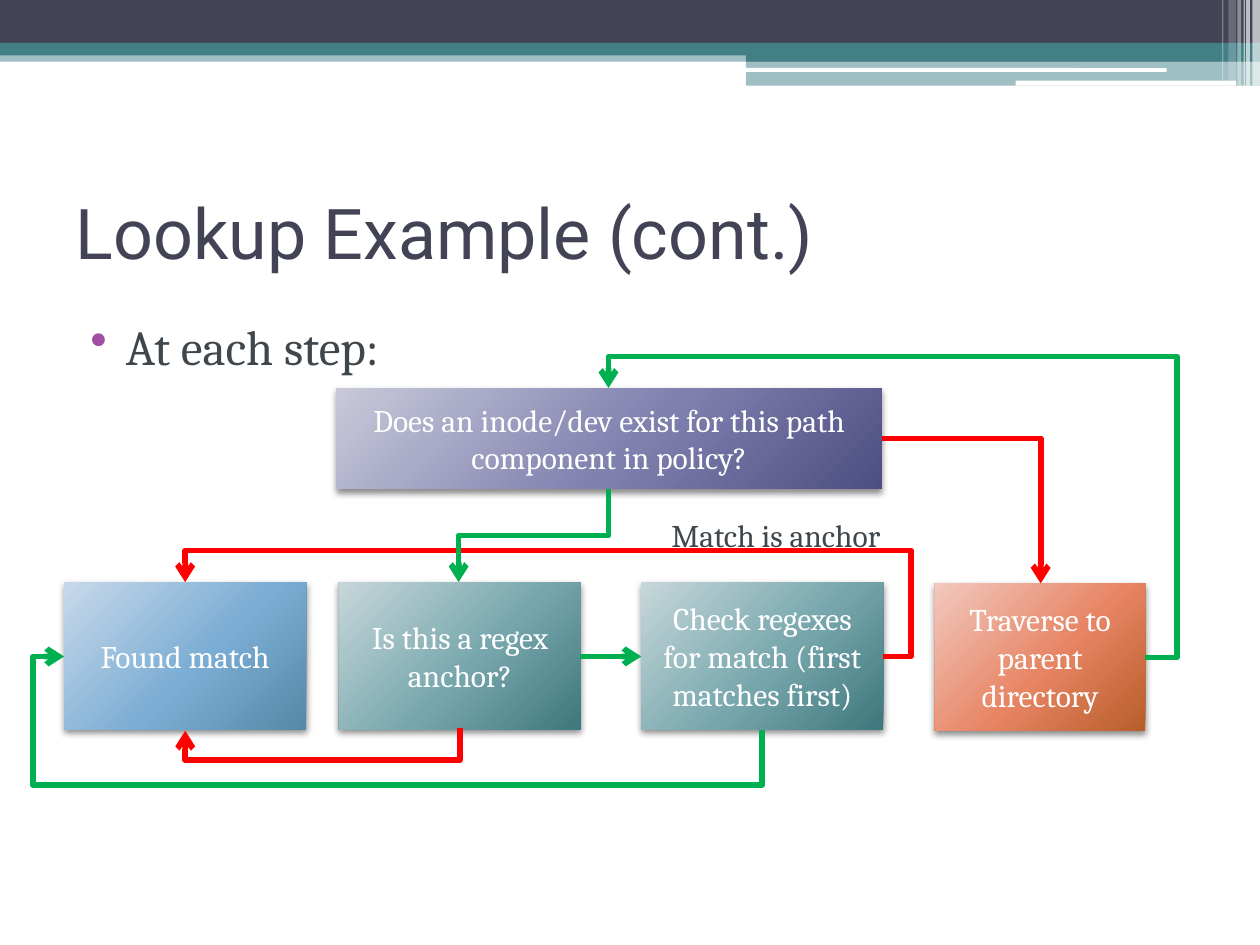
"""Build the slide that charts each step of a policy lookup."""
from dataclasses import dataclass

from lxml import etree
from pptx import Presentation
from pptx import util as u
from pptx.dml.color import RGBColor
from pptx.enum import shapes, text
from pptx.oxml import parse_xml
from pptx.oxml.ns import nsdecls, qn

PX = 9144
SHAPE = shapes.MSO_SHAPE
ALIGN = text.PP_ALIGN
ANCHOR = text.MSO_ANCHOR


@dataclass(frozen=True)
class Theme:
    """Colours, fonts and sizes."""
    dark: str = "424456"
    teal: str = "438086"
    white: str = "FFFFFF"
    ink: str = "3F474C"
    dot: str = "A04DA3"
    yes: str = "00B050"
    no: str = "FF0000"
    blue: tuple = ("C7D9EA", "7CADD4", "5688A9")
    sea: tuple = ("C7D7DA", "77A7AD", "3E777D")
    plum: tuple = ("C9C9DA", "7F80AE", "4D4E81")
    rust: tuple = ("F2C9BF", "E78463", "B75E2A")
    head: str = "Roboto"
    body: str = "Cambria"
    big: int = 40
    mid: int = 28
    base: int = 18
    pen: float = 3.25


T = Theme()


@dataclass(frozen=True)
class Band:
    """A plain bar of the page header."""
    box: tuple
    hue: str = T.white
    alpha: int = 100
    kind: int = SHAPE.RECTANGLE


@dataclass(frozen=True)
class Step:
    """A box of the flow."""
    box: tuple
    words: str
    stops: tuple


@dataclass(frozen=True)
class Route:
    """An arrow through right-angled points."""
    hue: str
    points: tuple


BANDS = (
    Band((0, 40, 1000, 9), T.teal, 50),
    Band((0, 0, 1000, 34), T.dark),
    Band((0, 34, 1000, 10), T.teal),
    Band((592, 39, 408, 10), T.teal),
    Band((592, 48, 408, 20), T.teal, 50),
    Band((591, 54, 335, 3), kind=SHAPE.ROUNDED_RECTANGLE),
    Band((806, 64, 175, 4), kind=SHAPE.ROUNDED_RECTANGLE),
    Band((994, 0, 6, 68), alpha=65),
    Band((989, 0, 3, 68), alpha=65),
    Band((987, 0, 1, 68), alpha=60),
    Band((982, 0, 3, 68), alpha=40),
    Band((975, 0, 6, 64), alpha=20),
    Band((970, 0, 1, 64), alpha=30),
)
STEPS = (
    Step((267, 308, 433, 80), "Does an inode/dev exist for this path component in policy?", T.plum),
    Step((742, 463, 167, 117), "Traverse to parent directory", T.rust),
    Step((269, 462, 192, 117), "Is this a regex anchor?", T.sea),
    Step((509, 462, 192, 117), "Check regexes for match (first matches first)", T.sea),
    Step((51, 462, 192, 117), "Found match", T.blue),
)
ROUTES = (
    Route(T.no, ((700, 348), (826, 348), (826, 463))),
    Route(T.no, ((365, 578), (365, 603), (147, 603), (147, 580))),
    Route(T.yes, ((460, 521), (509, 521))),
    Route(T.yes, ((605, 579), (605, 623), (26, 623), (26, 521), (51, 521))),
    Route(T.yes, ((909, 522), (934, 522), (934, 283), (483, 283), (483, 308))),
    Route(T.no, ((701, 521), (723, 521), (723, 437), (147, 437), (147, 462))),
    Route(T.yes, ((483, 388), (483, 425), (364, 425), (364, 462))),
)


def emu(box: tuple) -> list:
    """Turn px into EMU."""
    return [round(n * PX) for n in box]


def write(frame, words: str, *, size: int = T.base, font: str = T.body, hue: str = T.ink,
          align=ALIGN.LEFT, anchor=ANCHOR.TOP, wrap: bool = True):
    """Fill a text frame and return its paragraph."""
    frame.word_wrap, frame.vertical_anchor = wrap, anchor
    para = frame.paragraphs[0]
    para.alignment = align
    run = para.add_run()
    run.text = words
    run.font.size, run.font.name = u.Pt(size), font
    run.font.color.rgb = RGBColor.from_string(hue)
    return para


def draw_band(slide, band: Band) -> None:
    """Draw a header bar."""
    bar = slide.shapes.add_shape(band.kind, *emu(band.box))
    bar.shadow.inherit = False
    bar.line.fill.background()
    bar.fill.solid()
    bar.fill.fore_color.rgb = RGBColor.from_string(band.hue)
    if band.alpha < 100:
        tint = bar.element.spPr.find(".//" + qn("a:srgbClr"))
        etree.SubElement(tint, qn("a:alpha"), val=str(band.alpha * 1000))


def draw_step(slide, step: Step) -> None:
    """Draw a shaded flow box with its words."""
    node = slide.shapes.add_shape(SHAPE.FLOWCHART_PROCESS, *emu(step.box))
    stops = "".join(f'<a:gs pos="{at}000"><a:srgbClr val="{hue}"/></a:gs>'
                    for at, hue in zip((0, 55, 100), step.stops))
    node.element.spPr.append(parse_xml(
        f'<a:gradFill {nsdecls("a")} rotWithShape="1"><a:gsLst>{stops}</a:gsLst><a:path path="circle">'
        '<a:fillToRect l="-40000" t="-90000" r="140000" b="190000"/></a:path></a:gradFill>'))
    node.line.fill.background()
    node.shadow.inherit = False
    node.element.spPr.find(qn("a:effectLst")).append(parse_xml(
        f'<a:outerShdw {nsdecls("a")} blurRad="{u.Pt(4)}" dist="{u.Pt(2)}" dir="5400000" '
        'rotWithShape="0"><a:srgbClr val="000000"><a:alpha val="45000"/></a:srgbClr></a:outerShdw>'))
    write(node.text_frame, step.words, hue=T.white, align=ALIGN.CENTER, anchor=ANCHOR.MIDDLE)


def draw_route(slide, route: Route) -> None:
    """Draw an arrow, turned a quarter when it sets off downwards."""
    pts = route.points
    (ax, ay), (bx, by) = pts[0], pts[-1]
    turned = pts[1][0] == ax
    local = [(y - ay, ax - x) if turned else (x - ax, y - ay) for x, y in pts]
    wide, high = local[-1]
    left, top = (ax + bx - wide) / 2, (ay + by - high) / 2
    bent = len(pts) > 2
    kind = shapes.MSO_CONNECTOR.ELBOW if bent else shapes.MSO_CONNECTOR.STRAIGHT
    wire = slide.shapes.add_connector(kind, *emu((left, top, left + wide, top + high)))
    props = wire.element.spPr
    if turned:
        props.find(qn("a:xfrm")).set("rot", "5400000")
    if bent:
        geom = props.find(qn("a:prstGeom"))
        geom.set("prst", f"bentConnector{len(pts) - 1}")
        for i in range(1, len(pts) - 2):
            axis = (i - 1) % 2
            ratio = round(local[i][axis] / local[-1][axis] * 100000)
            etree.SubElement(geom.find(qn("a:avLst")), qn("a:gd"), name=f"adj{i}" if len(pts) > 4 else "adj1",
                             fmla=f"val {ratio}")
    wire.line.width = u.Pt(T.pen)
    wire.line.color.rgb = RGBColor.from_string(route.hue)
    etree.SubElement(props.find(qn("a:ln")), qn("a:tailEnd"), type="arrow")
    etree.SubElement(props, qn("a:effectLst"))


def main() -> None:
    """Build and save the deck."""
    deck = Presentation()
    deck.slide_width, deck.slide_height = emu((1000, 750))
    slide = deck.slides.add_slide(deck.slide_layouts[5])
    for band in BANDS:
        draw_band(slide, band)
    title = slide.shapes.title
    title.left, title.top, title.width, title.height = emu((50, 125, 900, 117))
    write(title.text_frame, "Lookup Example (cont.)", size=T.big, font=T.head, hue=T.dark,
          anchor=ANCHOR.MIDDLE)
    body = slide.shapes.add_textbox(*emu((50, 246, 900, 473)))
    para = write(body.text_frame, "At each step:", size=T.mid)
    para.space_before = u.Pt(3)
    props = para._p.get_or_add_pPr()
    props.set("marL", str(40 * PX))
    props.set("indent", str(-28 * PX))
    tint = etree.SubElement(props, qn("a:buClr"))
    etree.SubElement(tint, qn("a:srgbClr"), val=T.dot)
    etree.SubElement(props, qn("a:buChar"), char="•")
    for step in STEPS:
        draw_step(slide, step)
    for route in ROUTES:
        draw_route(slide, route)
    label = slide.shapes.add_textbox(*emu((523, 405, 200, 40)))
    write(label.text_frame, "Match is anchor", wrap=False)
    deck.save("out.pptx")


if __name__ == "__main__":
    main()
